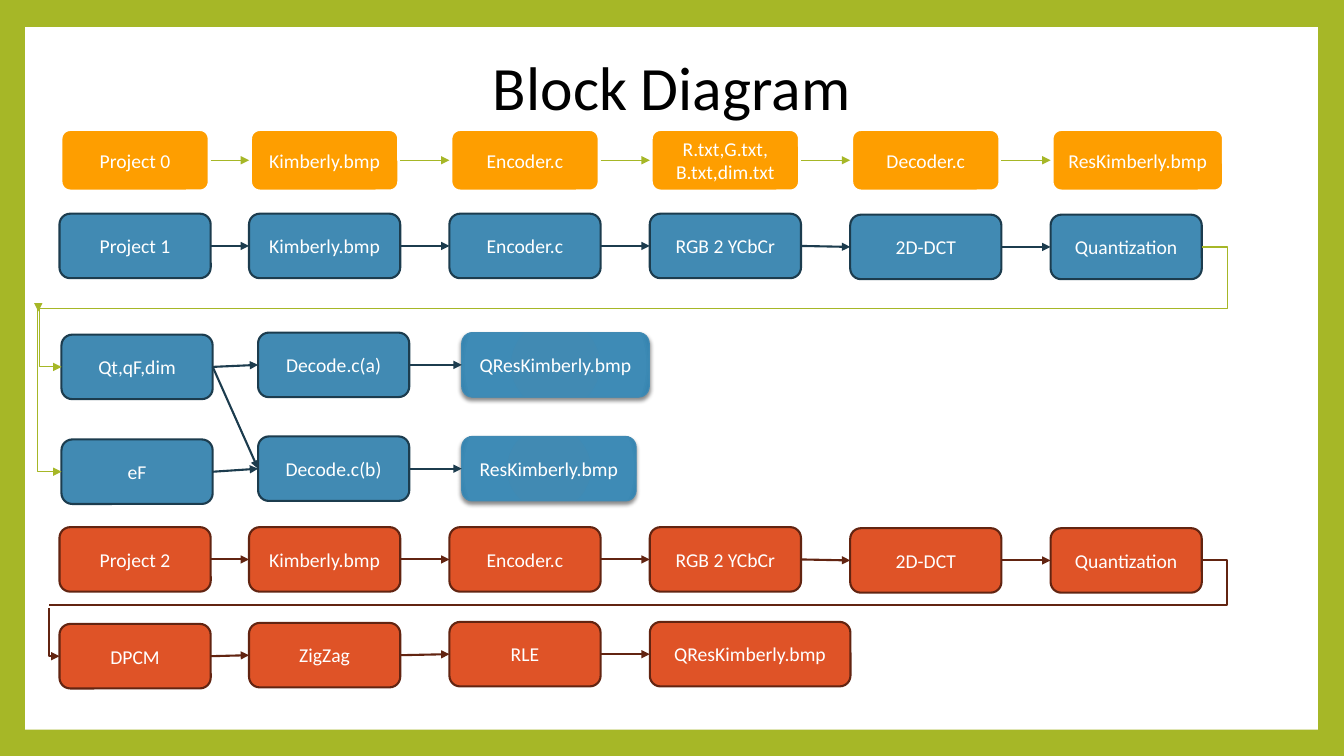
from lxml import etree
from pptx import Presentation, util as u
from pptx.dml.color import RGBColor
from pptx.enum import shapes, text
from pptx.oxml import parse_xml
from pptx.oxml.ns import nsdecls, qn

# Content
TITLE = "Block Diagram"
GREEN, WHITE, BLACK = "A6B727", "FFFFFF", "000000"
ORANGE, BLUE, RED = "FE9E00", "418AB3", "DF5327"
NAVY, MAROON = "1C3C4E", "622411"
BOX_W, BOX_H = 1.5, 0.64
THIN, MEDIUM, THICK = 0.79, 1.5, 4.25

# Grid: a label column, then five evenly spaced step columns
GRID = [0.59] + [2.47 + 1.9875 * step for step in range(5)]
DECODE_GRID = [0.61, 2.56, 4.58]

# Each chain: fill, border, border width, arrow colour, arrow width, columns, [(label, top, width)]
PIPELINE = ["Kimberly.bmp", "Encoder.c", "RGB 2 YCbCr", "2D-DCT", "Quantization"]


def pipeline(project, top):
    tops = [top] * 4 + [top + 0.01] * 2
    return [(label, y, BOX_W) for label, y in zip([project] + PIPELINE, tops)]


ORANGE_STYLE = (ORANGE, WHITE, THICK, GREEN, THIN)
BLUE_STYLE = (BLUE, NAVY, MEDIUM, NAVY, MEDIUM)
RED_STYLE = (RED, MAROON, MEDIUM, MAROON, MEDIUM)
CHAINS = [
    (ORANGE_STYLE, GRID, [
        ("Project 0", 1.27, BOX_W), ("Kimberly.bmp", 1.27, BOX_W), ("Encoder.c", 1.27, BOX_W),
        ("R.txt,G.txt,\nB.txt,dim.txt", 1.27, BOX_W), ("Decoder.c", 1.27, BOX_W),
        ("ResKimberly.bmp", 1.27, 1.73)]),
    (BLUE_STYLE, GRID, pipeline("Project 1", 2.12)),
    (BLUE_STYLE, DECODE_GRID, [
        ("Qt,qF,dim", 3.32, BOX_W), ("Decode.c(a)", 3.3, BOX_W), ("QResKimberly.bmp", 3.3, 1.86)]),
    (BLUE_STYLE, DECODE_GRID, [
        ("eF", 4.36, BOX_W), ("Decode.c(b)", 4.33, BOX_W), ("ResKimberly.bmp", 4.33, 1.73)]),
    (RED_STYLE, GRID, pipeline("Project 2", 5.23)),
    (RED_STYLE, GRID, [
        ("DPCM", 6.19, BOX_W), ("ZigZag", 6.18, BOX_W), ("RLE", 6.17, BOX_W),
        ("QResKimberly.bmp", 6.17, 1.99)]),
]
DECODED_CHAINS = (2, 3)  # these end in a raised result box

# Links between chains: start, end, colour, width, bend (None = straight), arrowhead
LINKS = [
    ((2.11, 3.64), (2.56, 4.65), NAVY, MEDIUM, None, True),
    ((11.92, 2.45), (0.39, 3.06), GREEN, THIN, -0.022, False),
    ((0.38, 3.06), (0.38, 3.09), GREEN, THIN, None, True),
    ((0.39, 3.06), (0.61, 3.64), GREEN, THIN, 0, True),
    ((0.37, 3.06), (0.61, 4.68), GREEN, THIN, 0, True),
    ((11.92, 5.56), (0.49, 6), MAROON, MEDIUM, -0.022, False),
    ((0.49, 6.03), (0.59, 6.51), MAROON, MEDIUM, 0, True),
]

deck = Presentation()
deck.slide_width, deck.slide_height = u.Inches(13.33), u.Inches(7.5)
slide = deck.slides.add_slide(deck.slide_layouts[6])


def rgb(hex_color):
    return RGBColor.from_string(hex_color)


def write(frame, words, size, color):
    frame.word_wrap = True
    for i, line in enumerate(words.split("\n")):
        paragraph = frame.paragraphs[0] if i == 0 else frame.add_paragraph()
        paragraph.alignment = text.PP_ALIGN.CENTER
        run = paragraph.add_run()
        run.text = line
        run.font.size, run.font.name = u.Pt(size), "Calibri"
        run.font.color.rgb = rgb(color)


def box(label, left, top, width, fill, border, border_width):
    node = slide.shapes.add_shape(shapes.MSO_SHAPE.ROUNDED_RECTANGLE,
                                  *map(u.Inches, (left, top, width, BOX_H)))
    node.shadow.inherit = False
    node.fill.solid()
    node.fill.fore_color.rgb = rgb(fill)
    node.line.color.rgb = rgb(border)
    node.line.width = u.Pt(border_width)
    node.text_frame.vertical_anchor = text.MSO_ANCHOR.MIDDLE
    write(node.text_frame, label, 14, WHITE)
    return node


def raise_box(node):
    """Give a result box a radial gradient and a soft shadow below."""
    props = node._element.spPr
    stops = "".join(f'<a:gs pos="{pos}000"><a:srgbClr val="{color}"/></a:gs>'
                    for pos, color in ((0, BLUE), (90, "3E8BB6"), (100, "3180AD")))
    gradient = parse_xml(
        f'<a:gradFill {nsdecls("a")}><a:gsLst>{stops}</a:gsLst><a:path path="circle">'
        '<a:fillToRect l="100000" t="100000" r="100000" b="100000"/></a:path></a:gradFill>')
    props.replace(props.find(qn("a:solidFill")), gradient)
    shadow = parse_xml(
        f'<a:effectLst {nsdecls("a")}><a:outerShdw blurRad="{u.Pt(3)}" dist="{u.Pt(2)}" '
        'dir="5400000" rotWithShape="0"><a:srgbClr val="000000"><a:alpha val="45000"/>'
        '</a:srgbClr></a:outerShdw></a:effectLst>')
    props.replace(props.find(qn("a:effectLst")), shadow)


def link(start, end, color, width, bend=None, arrow=True):
    kind = shapes.MSO_CONNECTOR.STRAIGHT if bend is None else shapes.MSO_CONNECTOR.ELBOW
    wire = slide.shapes.add_connector(kind, *map(u.Inches, start + end))
    wire.line.color.rgb = rgb(color)
    wire.line.width = u.Pt(width)
    props = wire._element.spPr
    if bend is not None:
        guides = props.find(qn("a:prstGeom")).get_or_add_avLst()
        etree.SubElement(guides, qn("a:gd"), name="adj1", fmla=f"val {round(bend * 100000)}")
    if arrow:
        etree.SubElement(props.find(qn("a:ln")), qn("a:tailEnd"), type="triangle")
    etree.SubElement(props, qn("a:effectLst"))


# Green frame around a white page
slide.background.fill.solid()
slide.background.fill.fore_color.rgb = rgb(GREEN)
page = slide.shapes.add_shape(shapes.MSO_SHAPE.RECTANGLE,
                              *map(u.Inches, (0.25, 0.27, 12.82, 6.97)))
page.shadow.inherit = False
page.fill.solid()
page.fill.fore_color.rgb = rgb(WHITE)
page.line.fill.background()

# Title
heading = slide.shapes.add_textbox(*map(u.Inches, (4.25, 0.44, 4.83, 0.84)))
write(heading.text_frame, TITLE, 44, BLACK)

# Chains of boxes, each joined to the next by an arrow
for row, (style, columns, steps) in enumerate(CHAINS):
    fill, border, border_width, arrow_color, arrow_width = style
    previous = None
    for left, (label, top, width) in zip(columns, steps):
        result = row in DECODED_CHAINS and left == columns[-1]
        edge = (BLUE, THIN) if result else (border, border_width)
        node = box(label, left, top, width, fill, *edge)
        if result:
            raise_box(node)
        middle = top + BOX_H / 2
        if previous:
            link(previous, (left, middle), arrow_color, arrow_width)
        previous = (left + width, middle)

# Links from one chain to the next
for connection in LINKS:
    link(*connection)

deck.save("out.pptx")
